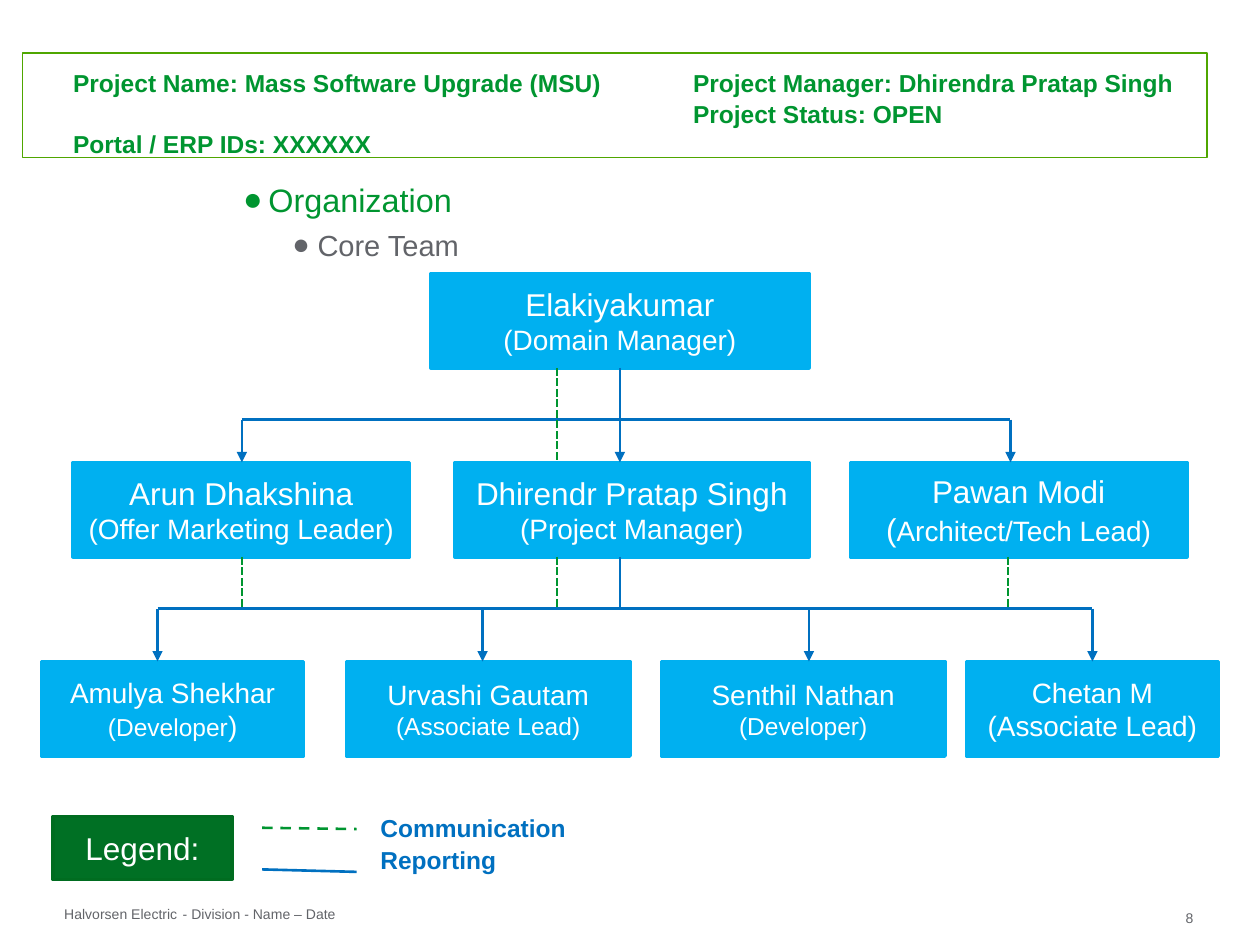
from dataclasses import dataclass
from lxml import etree
from pptx import Presentation
from pptx.dml.color import RGBColor
from pptx.enum.dml import MSO_LINE
from pptx.enum.shapes import MSO_CONNECTOR, MSO_SHAPE
from pptx.enum.text import MSO_ANCHOR, PP_ALIGN
from pptx.oxml.ns import qn
from pptx.util import Inches, Pt

RECT = MSO_SHAPE.RECTANGLE
LINE = MSO_CONNECTOR.STRAIGHT
LEFT, MID = PP_ALIGN.LEFT, PP_ALIGN.CENTER
TOP, CENTER = MSO_ANCHOR.TOP, MSO_ANCHOR.MIDDLE
DASH, SHORT = MSO_LINE.DASH, MSO_LINE.SQUARE_DOT


@dataclass(frozen=True)
class Theme:
    font: str = "Arial"
    green: str = "009530"
    dark: str = "007024"
    edge: str = "006C20"
    frame: str = "4FA600"
    blue: str = "0070C0"
    sky: str = "00B0F0"
    gray: str = "626469"
    white: str = "FFFFFF"
    small: float = 8
    note: float = 14
    body: float = 16
    sub: float = 16.6
    name: float = 18
    head: float = 18.5


theme = Theme()


def write(shape, lines, color, bold=False, align=LEFT, gap=0, **form):
    frame = shape.text_frame
    for key, value in form.items():
        setattr(frame, key, value)
    for i, runs in enumerate(lines):
        para = frame.add_paragraph() if i else frame.paragraphs[0]
        para.alignment = align
        para.space_before = Pt(gap if i else 0)
        for text, size in runs:
            run = para.add_run()
            run.text = text
            look = {"name": theme.font, "size": Pt(size), "bold": bold}
            for key, value in look.items():
                setattr(run.font, key, value)
            run.font.color.rgb = RGBColor.from_string(color)


def link(home, x1, y1, x2, y2, color, dash=None, arrow=False):
    wire = home.add_connector(LINE, Inches(x1), Inches(y1), Inches(x2), Inches(y2))
    wire.line.width = Pt(1.5)
    wire.line.color.rgb = RGBColor.from_string(color)
    if dash:
        wire.line.dash_style = dash
    if arrow:
        etree.SubElement(wire.line._get_or_add_ln(), qn("a:tailEnd"), type="triangle")
    etree.SubElement(wire._element.spPr, qn("a:effectLst"))


deck = Presentation()
deck.slide_width, deck.slide_height = Inches(10), Inches(7.5)
slide = deck.slides.add_slide(deck.slide_layouts[6])
shapes = slide.shapes
legend = shapes.add_group_shape().shapes

sides = ("margin_left", "margin_top", "margin_right", "margin_bottom")
bare = dict.fromkeys(sides, 0)
slim = dict(zip(sides, map(Inches, (0.08, 0.04, 0.08, 0.04))), word_wrap=True)
plain = dict(zip(sides, map(Inches, (0.1, 0.05, 0.1, 0.05))), word_wrap=True)

banner = shapes.add_shape(RECT, Inches(0.18), Inches(0.42), Inches(9.4), Inches(0.83))
banner.shadow.inherit = False
banner.fill.background()
banner.line.color.rgb = RGBColor.from_string(theme.frame)
banner.line.width = Pt(1)

texts = [
    (shapes, 0.51, 7.19, 0.9, 0.13, ["Halvorsen Electric"], theme.small, theme.gray, False, 0, bare | {"word_wrap": False}),
    (shapes, 1.45, 7.19, 1.25, 0.13, ["- Division - Name – Date"], theme.small, theme.gray, False, 0, bare | {"word_wrap": False}),
    (shapes, 9.41, 7.22, 0.32, 0.08, ["8"], theme.small, theme.gray, False, 0, bare | {"word_wrap": True}),
    (shapes, 0.5, 0.5, 4.58, 0.75, ["Project Name: Mass Software Upgrade (MSU)", "Portal / ERP IDs: XXXXXX"], theme.note, theme.green, True, 18, slim),
    (shapes, 5.42, 0.5, 4.08, 0.75, ["Project Manager: Dhirendra Pratap Singh", "Project Status: OPEN"], theme.note, theme.green, True, 1, slim),
    (legend, 2.92, 6.4, 2.08, 0.34, ["Communication"], theme.note, theme.blue, True, 0, plain),
    (legend, 2.92, 6.66, 2.08, 0.34, ["Reporting"], theme.note, theme.blue, True, 0, plain),
]
for home, x, y, w, h, lines, size, color, bold, gap, form in texts:
    box = home.add_textbox(Inches(x), Inches(y), Inches(w), Inches(h))
    write(box, [[(line, size)] for line in lines], color, bold, gap=gap, vertical_anchor=TOP, **form)

topic = shapes.add_textbox(Inches(1.85), Inches(1.39), Inches(7.41), Inches(0.75))
write(topic, [[("Organization", theme.head)], [("Core Team", theme.sub)]], theme.green, gap=4.5, **slim)
levels = [(0.2, theme.green), (0.59, theme.gray)]
for level, (para, (indent, color)) in enumerate(zip(topic.text_frame.paragraphs, levels)):
    para.level = level
    props = para._p.get_or_add_pPr()
    props.set("marL", str(Inches(indent)))
    props.set("indent", str(Inches(-0.2)))
    tint = etree.SubElement(props, qn("a:buClr"))
    etree.SubElement(tint, qn("a:srgbClr"), val=color)
    etree.SubElement(props, qn("a:buFont"), typeface=theme.font)
    etree.SubElement(props, qn("a:buChar"), char="●")
    para.runs[0].font.color.rgb = RGBColor.from_string(color)

big, mid, low = theme.name, theme.body, theme.note
boxes = [
    (3.42, 2.17, 3, [[("Elakiyakumar", big)], [("(Domain Manager)", mid)]]),
    (0.58, 3.67, 2.67, [[("Arun Dhakshina", big)], [("(Offer Marketing Leader)", mid)]]),
    (3.61, 3.67, 2.81, [[("Dhirendr Pratap Singh", big)], [("(Project Manager)", mid)]]),
    (6.75, 3.67, 2.67, [[("Pawan Modi", big)], [("(", big), ("Architect/Tech Lead)", mid)]]),
    (0.33, 5.25, 2.08, [[("Amulya Shekhar", mid)], [("(Developer", low), (")", mid)]]),
    (2.75, 5.25, 2.25, [[("Urvashi Gautam", mid)], [("(Associate Lead)", low)]]),
    (5.25, 5.25, 2.25, [[("Senthil Nathan", mid)], [("(Developer)", low)]]),
    (7.67, 5.25, 2, [[("Chetan M", mid)], [("(Associate Lead)", mid)]]),
]
cards = [(shapes, x, y, w, 0.75, lines, theme.sky, theme.sky) for x, y, w, lines in boxes]
cards.append((legend, 0.42, 6.48, 1.42, 0.5, [[("Legend:", big)]], theme.dark, theme.edge))
for home, x, y, w, h, lines, fill, edge in cards:
    card = home.add_shape(RECT, Inches(x), Inches(y), Inches(w), Inches(h))
    card.shadow.inherit = False
    card.fill.solid()
    card.fill.fore_color.rgb = RGBColor.from_string(fill)
    card.line.color.rgb = RGBColor.from_string(edge)
    card.line.width = Pt(2)
    write(card, lines, theme.white, align=MID, vertical_anchor=CENTER, **plain)

trunk = 4.92
tiers = [
    (2.92, 3.33, 3.67, [1.92, trunk, 8.02]),
    (4.42, 4.83, 5.25, [1.25, 3.83, 6.42, 8.67]),
]
for start, bus, end, drops in tiers:
    link(shapes, trunk, start, trunk, bus, theme.blue)
    link(shapes, drops[0], bus, drops[-1], bus, theme.blue)
    for x in drops:
        link(shapes, x, bus, x, end, theme.blue, arrow=True)

for x, start, end in [(4.42, 2.92, 3.67), (1.92, 4.42, 4.83), (4.42, 4.42, 4.83), (8, 4.42, 4.83)]:
    link(shapes, x, start, x, end, theme.green, SHORT)

link(legend, 2.08, 6.57, 2.83, 6.58, theme.green, DASH)
link(legend, 2.08, 6.9, 2.83, 6.92, theme.blue)

deck.save("out.pptx")
